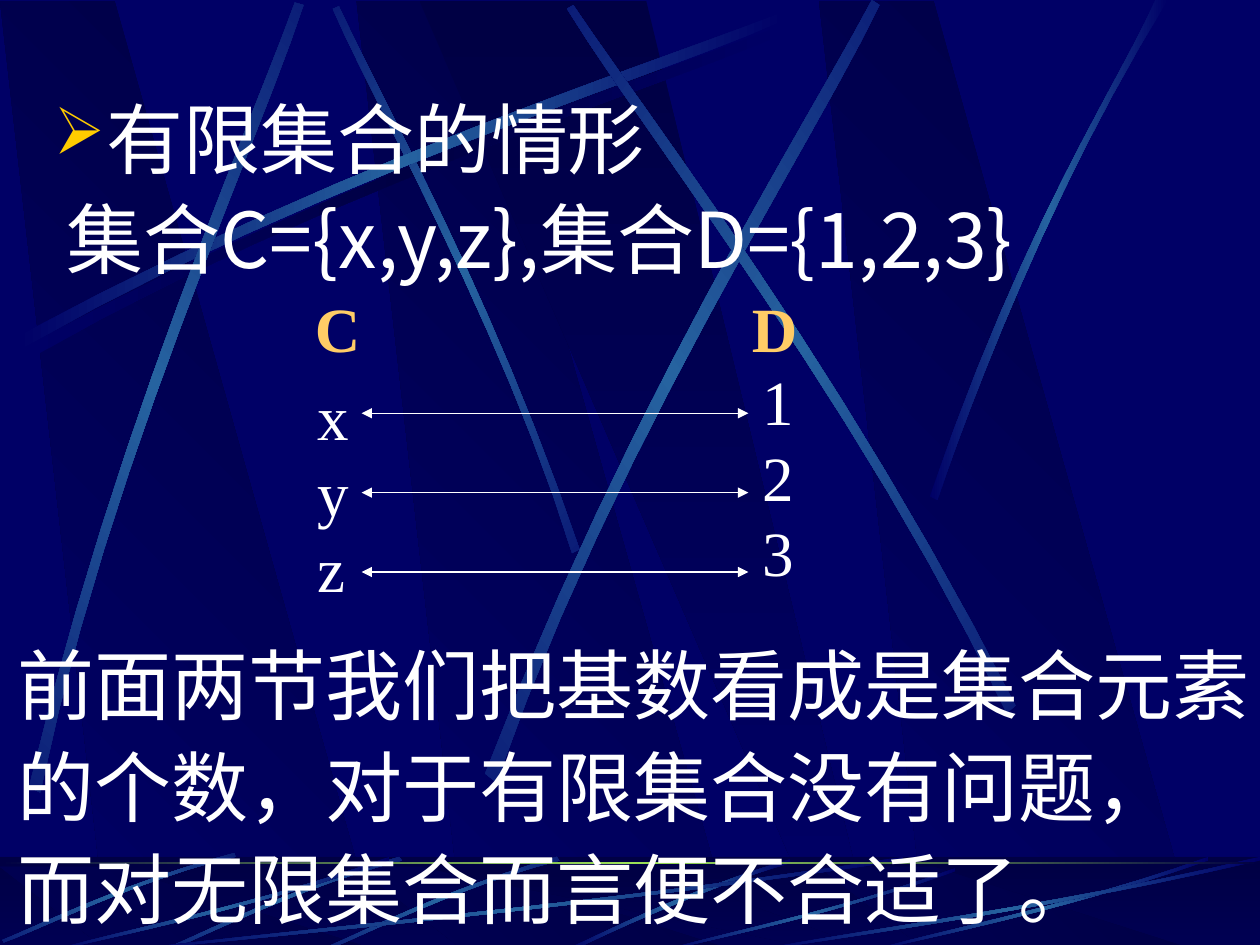
from copy import deepcopy
from math import cos, radians, sin

from lxml import etree
from pptx import Presentation
from pptx.dml.color import RGBColor
from pptx.enum.shapes import MSO_CONNECTOR, MSO_SHAPE
from pptx.enum.text import MSO_AUTO_SIZE
from pptx.oxml.ns import qn
from pptx.util import Inches, Pt

RECT = MSO_SHAPE.RECTANGLE
LINE = MSO_CONNECTOR.STRAIGHT
GROW = MSO_AUTO_SIZE.SHAPE_TO_FIT_TEXT
NAVY = RGBColor(0x00, 0x00, 0x66)
DARK = RGBColor(0x00, 0x00, 0x44)
BLUE = RGBColor(0x26, 0x63, 0xA0)
LIME = RGBColor(0x9C, 0xE1, 0x57)
WHITE = RGBColor(0xFF, 0xFF, 0xFF)
AMBER = RGBColor(0xFF, 0xCC, 0x66)
SANS = "Noto Sans CJK SC"
SERIF = "Times New Roman"

deck = Presentation()
deck.slide_width, deck.slide_height = Inches(10), Inches(7.5)
slide = deck.slides.add_slide(deck.slide_layouts[6])
slide.background.fill.solid()
slide.background.fill.fore_color.rgb = NAVY
shapes = slide.shapes


def paint(shape, tones, angle):
    """Fill with evenly spaced tones; the angle runs clockwise."""
    shape.shadow.inherit = False
    shape.line.fill.background()
    shape.fill.gradient()
    shape.fill.gradient_angle = 360 - angle
    stops = shape.element.spPr.find(".//" + qn("a:gsLst"))
    for _ in tones[2:]:
        stops.append(deepcopy(stops[-1]))
    for i, (stop, tone) in enumerate(zip(shape.fill.gradient_stops, tones)):
        stop.color.rgb = tone
        stop.position = i / (len(tones) - 1)


def outline(points, turn=0):
    """Draw a polygon whose frame, and so its gradient, is turned."""
    c, s = cos(radians(turn)), sin(radians(turn))
    flat = [(x * c + y * s, y * c - x * s) for x, y in points]
    xs, ys = zip(*flat)
    mx, my = (min(xs) + max(xs)) / 2, (min(ys) + max(ys)) / 2
    dx, dy = mx * c - my * s - mx, mx * s + my * c - my
    spots = [(Inches(x + dx), Inches(y + dy)) for x, y in flat]
    pen = shapes.build_freeform(*spots[0], scale=1.0)
    pen.add_line_segments(spots[1:], close=True)
    shape = pen.convert_to_shape()
    shape.rotation = turn
    return shape


# Each streak is a turn and two cubic curves of four points
beam = [(0.14, 2.67), (2.78, 1.25), (5.18, 0.51), (6.2, 0.1),
        (6.23, 0.16), (5.22, 0.61), (2.48, 1.43), (0.17, 2.77)]
wall = [
    (0, [(x + 0.06, y + 0.08) for x, y in beam]),
    (45, [(4.6, 4.36), (3.91, 2.34), (3.02, 0.77), (2.69, 0.05),
          (2.64, 0.07), (2.95, 0.79), (3.98, 2.58), (4.54, 4.39)]),
    (0, beam),
    (311.7, [(0.23, 6.25), (0.93, 3.34), (1.97, 1.05), (2.34, 0.02),
             (2.41, 0.04), (2.07, 1.09), (0.86, 3.68), (0.32, 6.29)]),
    (321.6, [(3.85, 6.14), (4.98, 3.2), (6.38, 1.02), (6.92, 0),
             (6.98, 0.04), (6.49, 1.08), (4.86, 3.55), (3.94, 6.21)]),
    (34.8, [(8.06, 5.6), (6.7, 2.93), (5.16, 0.95), (4.55, 0.04),
            (4.5, 0.07), (5.07, 1.01), (6.85, 3.25), (7.99, 5.66)]),
    (0, [(7.38, 3.94), (8.14, 1.73), (8.88, 0.66), (9.17, 0),
         (9.27, 0), (8.36, 1.45), (7.69, 3.22), (7.44, 3.97)]),
]
ray = [(4.42, 6.8), (3.55, 7.05), (2.87, 7.4), (2.56, 7.53),
       (2.57, 7.55), (2.88, 7.43), (3.65, 7.03), (4.44, 6.83)]
floor = [
    (0, [(6.27, 6.82), (5.37, 7.09), (4.77, 7.42), (4.48, 7.54),
         (4.53, 7.55), (4.9, 7.37), (5.71, 7), (6.28, 6.85)]),
    (314.9, ray),
    (314.9, [(x - 1.25, y) for x, y in ray]),
    (314.9, [(1.86, 6.77), (0.99, 7), (0.32, 7.34), (0.02, 7.46),
             (0.03, 7.48), (0.34, 7.37), (1.09, 6.98), (1.87, 6.8)]),
]
sweep = [(1, 0.04), (0.57, 0.57), (0.17, 0.85), (0, 1),
         (0, 0.99), (0.16, 0.81), (0.61, 0.51), (1, 0)]
for left, top, wide, high in [(1, 6.8, 6.17, 0.75), (0.42, 6.8, 2.67, 0.75),
                              (5.27, 6.89, 2.31, 0.66),
                              (6.92, 6.8, 2.67, 0.75), (6, 6.8, 4, 0.75)]:
    floor.append((0, [(left + u * wide, top + v * high) for u, v in sweep]))

ground = Inches(0), Inches(6.8), Inches(10), Inches(0.75)
for top, base, streaks in [(0.01, 7.52, wall), (6.88, 7.55, floor)]:
    if streaks is floor:
        paint(shapes.add_shape(RECT, *ground), [DARK, NAVY], 90)
    for x in (2.83, 0, 6.5):
        slab = outline([(x + 0.86, base), (x + 3.02, base),
                        (x + 0.91, top), (x, top)])
        paint(slab, [DARK, NAVY], 135)
    slab = outline([(3.33, top), (6.58, base), (6.94, base), (5.13, top)])
    paint(slab, [DARK, NAVY], 90)
    if streaks is floor:
        veil = shapes.add_shape(RECT, *ground)
        veil.shadow.inherit = False
        veil.line.fill.background()
        veil.fill.solid()
        veil.fill.fore_color.rgb = DARK
        tone = veil.element.spPr.find(".//" + qn("a:srgbClr"))
        etree.SubElement(tone, qn("a:alpha"), val="50000")
    for i, (turn, knots) in enumerate(streaks):
        curve = []
        for part in (knots[:4], knots[4:]):
            for step in range(13):
                t = step / 12
                w = ((1 - t) ** 3, 3 * t * (1 - t) ** 2,
                     3 * t * t * (1 - t), t ** 3)
                curve.append([sum(a * b for a, b in zip(w, axis))
                              for axis in zip(*part)])
        shade = streaks is wall and i == 0
        paint(outline(curve, turn), [NAVY, DARK if shade else BLUE, NAVY], 180)

rim = shapes.add_shape(RECT, Inches(0), Inches(6.84), Inches(10), Inches(0.02))
paint(rim, [DARK, LIME, DARK], 180)

# Box, lines, size, font, colour, line spacing, hanging indent, bullet
texts = [
    ((0.43, 1.47, 9.06, 4.65), ["集合C={x,y,z},集合D={1,2,3}"],
     44, SANS, WHITE, None, True, None),
    ((0.33, 0.76, 9.42, 1.01), ["有限集合的情形"],
     44, SANS, WHITE, 0.9, True, "➢"),
    ((2.42, 2.95, 0.45, 2.5), "xyz", 36, SERIF, WHITE, None, False, None),
    ((5.95, 2.83, 0.45, 2.5), "123", 36, SERIF, WHITE, None, False, None),
    ((2.4, 2.25, 0.56, 0.7), "C", 36, SERIF, AMBER, None, False, None),
    ((5.87, 2.25, 0.56, 0.7), "D", 36, SERIF, AMBER, None, False, None),
    ((0.04, 5.09, 15.2, 2.39),
     ["前面两节我们把基数看成是集合元素",
      "的个数，对于有限集合没有问题，",
      "而对无限集合而言便不合适了。"],
     44, SANS, WHITE, 0.9, False, None),
]
for box, lines, size, face, tone, gap, hang, mark in texts:
    frame = shapes.add_textbox(*map(Inches, box)).text_frame
    frame.word_wrap = face == SANS
    if not hang:
        frame.auto_size = GROW
    for i, line in enumerate(lines):
        para = frame.add_paragraph() if i else frame.paragraphs[0]
        para.text = line
        if gap:
            para.line_spacing = gap
        if i and face == SANS:
            para.space_before = Pt(11)
        props = para._p.get_or_add_pPr()
        if hang:
            props.set("marL", str(Inches(0.38)))
            props.set("indent", str(-Inches(0.38)))
        if mark:
            hue = etree.SubElement(props, qn("a:buClr"))
            etree.SubElement(hue, qn("a:srgbClr"), val="FFCC00")
            etree.SubElement(props, qn("a:buSzPct"), val="85000")
            etree.SubElement(props, qn("a:buChar"), char=mark)
        font = para.font
        font.size, font.name, font.bold = Pt(size), face, tone == AMBER
        font.color.rgb = tone
        etree.SubElement(props.find(qn("a:defRPr")), qn("a:ea"), typeface=face)

for i in range(3):
    y = Inches(3.28 + 0.63 * i)
    arrow = shapes.add_connector(LINE, Inches(2.87), y, Inches(5.94), y)
    arrow.line.color.rgb = WHITE
    arrow.line.width = Pt(0.75)
    for end in ("a:headEnd", "a:tailEnd"):
        etree.SubElement(arrow.line._get_or_add_ln(), qn(end), type="triangle")
    etree.SubElement(arrow._element.spPr, qn("a:effectLst"))

deck.save("out.pptx")
